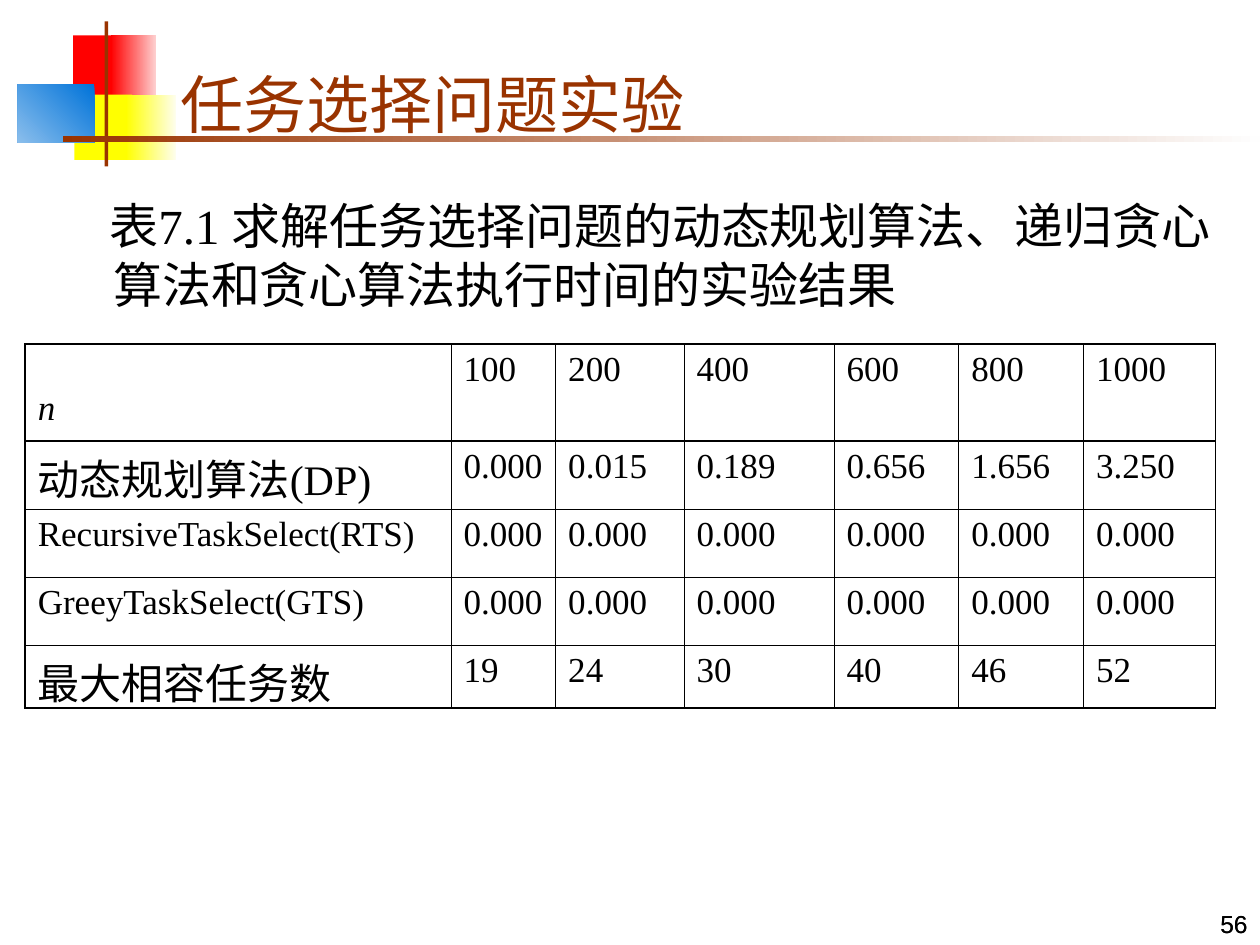
from dataclasses import dataclass

from lxml import etree
from pptx import Presentation
from pptx import util as u
from pptx.dml.color import RGBColor
from pptx.enum import shapes, text
from pptx.oxml import ns


@dataclass(frozen=True)
class Theme:
    ink: str = "000000"
    accent: str = "993300"
    red: str = "FF0000"
    pale_red: str = "FED0D0"
    yellow: str = "FFFF00"
    pale_yellow: str = "FEFEEF"
    blue: str = "0073D9"
    pale_blue: str = "8ABEEC"
    white: str = "FEFEFE"
    serif: str = "Times New Roman"
    sans: str = "Arial"
    title: int = 36
    body: int = 28
    label: int = 24
    cell: int = 20
    number: int = 14
    outer_line: float = 0.96
    inner_line: float = 0.45


THEME = Theme()

# left, top, width, height, colours (one, or start and end), clockwise angle
DECORATIONS = [
    (0.58, 0.28, 0.35, 0.52, [THEME.red], 0),
    (0.88, 0.28, 0.36, 0.52, [THEME.pale_red, THEME.red], 180),
    (0.59, 0.75, 0.46, 0.52, [THEME.yellow], 0),
    (1.00, 0.75, 0.40, 0.52, [THEME.pale_yellow, THEME.yellow], 180),
    (0.14, 0.67, 0.61, 0.46, [THEME.blue, THEME.pale_blue], 135),
    (0.83, 0.17, 0.03, 1.15, [THEME.accent], 0),
    (0.50, 1.08, 9.50, 0.05, [THEME.white, THEME.accent], 180),
]

COLUMN_WIDTHS = [3.38, 0.83, 1.02, 1.19, 0.99, 0.99, 1.05]
ROW_HEIGHTS = [0.77, 0.54, 0.54, 0.54, 0.5]
RESULTS = [
    ["n", "100", "200", "400", "600", "800", "1000"],
    ["动态规划算法(DP)", "0.000", "0.015", "0.189", "0.656", "1.656", "3.250"],
    ["RecursiveTaskSelect(RTS)"] + ["0.000"] * 6,
    ["GreeyTaskSelect(GTS)"] + ["0.000"] * 6,
    ["最大相容任务数", "19", "24", "30", "40", "46", "52"],
]
LARGE_LABEL_ROWS = (1, 4)


def write_text(frame, content, size, font=THEME.serif, color=THEME.ink,
               italic=False, align=text.PP_ALIGN.LEFT):
    """Put one formatted paragraph into a text frame and return it."""
    paragraph = frame.paragraphs[0]
    paragraph.alignment = align
    run = paragraph.add_run()
    run.text = content
    run.font.size = u.Pt(size)
    run.font.name = font
    run.font.italic = italic
    run.font.color.rgb = RGBColor.from_string(color)
    return paragraph


def add_block(slide, left, top, width, height, colors, angle):
    block = slide.shapes.add_shape(
        shapes.MSO_SHAPE.RECTANGLE,
        *(u.Inches(length) for length in (left, top, width, height)))
    block.shadow.inherit = False
    block.line.fill.background()
    if len(colors) == 1:
        block.fill.solid()
        block.fill.fore_color.rgb = RGBColor.from_string(colors[0])
        return
    block.fill.gradient()
    block.fill.gradient_angle = 360 - angle
    for stop, color in zip(block.fill.gradient_stops, colors):
        stop.color.rgb = RGBColor.from_string(color)


def add_text_box(slide, left, top, width, height, anchor):
    box = slide.shapes.add_textbox(
        *(u.Inches(length) for length in (left, top, width, height)))
    box.text_frame.word_wrap = True
    box.text_frame.vertical_anchor = anchor
    return box.text_frame


def add_page_number(slide):
    frame = add_text_box(slide, 7.92, 7, 2.08, 0.5, text.MSO_ANCHOR.BOTTOM)
    write_text(frame, "56", THEME.number, font=THEME.sans,
               align=text.PP_ALIGN.RIGHT)


def format_title(slide):
    title = slide.shapes.title
    title.left, title.top = u.Inches(1.33), u.Inches(0.25)
    title.width, title.height = u.Inches(8.52), u.Inches(0.92)
    frame = title.text_frame
    frame.auto_size = text.MSO_AUTO_SIZE.NONE
    frame.vertical_anchor = text.MSO_ANCHOR.BOTTOM
    write_text(frame, "任务选择问题实验", THEME.title, color=THEME.accent)
    # Bring the title in front of the decoration
    slide.shapes._spTree.append(title._element)


def add_caption(slide):
    frame = add_text_box(slide, 0.42, 1.5, 9.38, 5.21, text.MSO_ANCHOR.TOP)
    paragraph = write_text(
        frame,
        "表7.1 求解任务选择问题的动态规划算法、递归贪心算法和贪心算法执行时间的实验结果",
        THEME.body)
    properties = paragraph._p.get_or_add_pPr()
    properties.set("marL", str(u.Inches(0.38)))
    properties.set("indent", str(u.Inches(-0.03)))


def set_borders(cell, widths):
    """Draw the left, right, top and bottom borders, in that order."""
    properties = cell._tc.get_or_add_tcPr()
    for position, (side, width) in enumerate(zip("LRTB", widths)):
        line = etree.Element(ns.qn(f"a:ln{side}"), w=str(u.Pt(width)))
        fill = etree.SubElement(line, ns.qn("a:solidFill"))
        etree.SubElement(fill, ns.qn("a:srgbClr"), val=THEME.ink)
        properties.insert(position, line)


def border_widths(row, column):
    """Heavy lines run round the table and below the header."""
    last_row, last_column = len(RESULTS) - 1, len(COLUMN_WIDTHS) - 1
    heavy = (column == 0, column == last_column,
             row in (0, 1), row in (0, last_row))
    return [THEME.outer_line if edge else THEME.inner_line for edge in heavy]


def add_results_table(slide):
    table = slide.shapes.add_table(
        len(ROW_HEIGHTS), len(COLUMN_WIDTHS), u.Inches(0.2), u.Inches(2.73),
        u.Inches(sum(COLUMN_WIDTHS)), u.Inches(sum(ROW_HEIGHTS))).table
    table.first_row = table.horz_banding = False
    for column, width in zip(table.columns, COLUMN_WIDTHS):
        column.width = u.Inches(width)
    for row, height in zip(table.rows, ROW_HEIGHTS):
        row.height = u.Inches(height)
    for r, values in enumerate(RESULTS):
        for c, value in enumerate(values):
            cell = table.cell(r, c)
            cell.fill.background()
            set_borders(cell, border_widths(r, c))
            large = c == 0 and r in LARGE_LABEL_ROWS
            write_text(cell.text_frame, value,
                       THEME.label if large else THEME.cell,
                       italic=value == "n")
    # The variable name sits on the second line of its cell
    table.cell(0, 0).margin_top = u.Inches(0.36)


def main():
    presentation = Presentation()
    presentation.slide_width = u.Inches(10)
    presentation.slide_height = u.Inches(7.5)
    slide = presentation.slides.add_slide(presentation.slide_layouts[5])

    # Corner decoration and title rule
    for decoration in DECORATIONS:
        add_block(slide, *decoration)

    # Content between the two stacked page numbers
    add_page_number(slide)
    format_title(slide)
    add_caption(slide)
    add_results_table(slide)
    add_page_number(slide)

    presentation.save("out.pptx")


if __name__ == "__main__":
    main()
